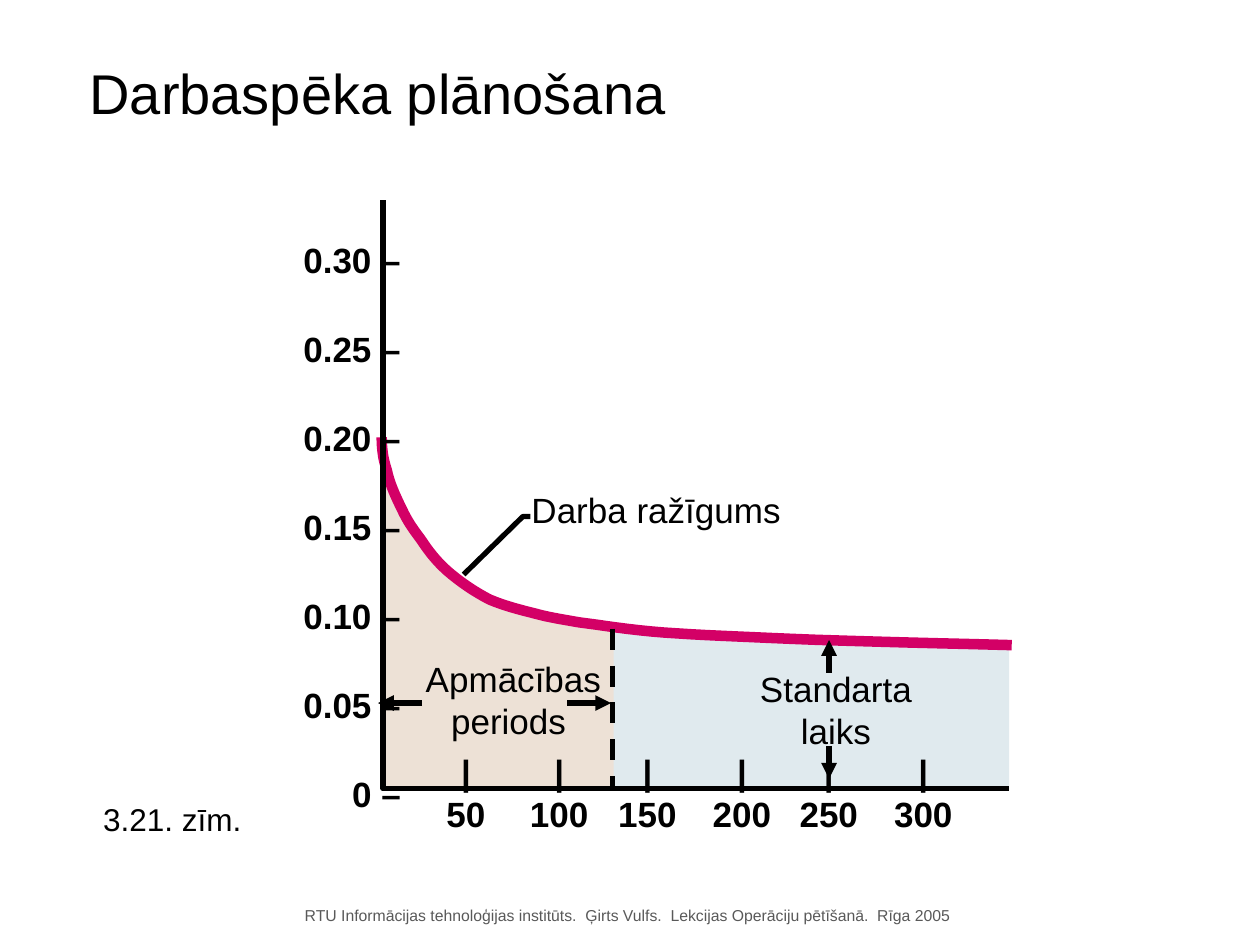
from lxml.etree import SubElement
from pptx import Presentation
from pptx.dml.color import RGBColor
from pptx.enum.dml import MSO_LINE
from pptx.enum.shapes import MSO_CONNECTOR
from pptx.enum.text import MSO_ANCHOR, MSO_AUTO_SIZE, PP_ALIGN
from pptx.oxml.ns import qn
from pptx.util import Inches, Pt

COLORS = {
    "ink": "000000",
    "footer": "595959",
    "curve": "D30066",
    "training": "EDE1D6",
    "standard": "E0EAEE",
}
FONT = "Arial"

STANDARD_AREA = [(8.01, 6.27), (4.86, 6.27), (4.86, 4.98), (5.08, 5.01), (5.39, 5.03),
                 (6, 5.07), (6.55, 5.08), (7.26, 5.1), (8.01, 5.11)]
TRAINING_AREA = [(3.04, 3.61), (3.04, 6.26), (4.87, 6.26), (4.87, 4.98), (4.55, 4.93),
                 (4.18, 4.87), (3.95, 4.79), (3.73, 4.67), (3.57, 4.56), (3.39, 4.36),
                 (3.22, 4.1), (3.13, 3.91)]
AXES = [(3.04, 1.59), (3.04, 6.26), (8.01, 6.26)]
CURVE_LEADER = [(4.21, 4.1), (4.15, 4.1), (3.68, 4.56)]

# Start point, then two control points and an end point for each segment.
CURVE = [(3.03, 3.47),
         (3.03, 3.56), (3.04, 3.64), (3.07, 3.73),
         (3.09, 3.83), (3.14, 3.94), (3.19, 4.04),
         (3.23, 4.13), (3.28, 4.2), (3.34, 4.28),
         (3.4, 4.37), (3.46, 4.45), (3.55, 4.53),
         (3.64, 4.61), (3.77, 4.7), (3.89, 4.76),
         (4.01, 4.81), (4.13, 4.84), (4.25, 4.87),
         (4.36, 4.9), (4.43, 4.91), (4.6, 4.94),
         (4.77, 4.96), (4.99, 5), (5.27, 5.02),
         (5.55, 5.04), (5.81, 5.05), (6.28, 5.07),
         (6.74, 5.09), (7.67, 5.11), (8.03, 5.12)]

ARROWS = [((6.58, 5.34), (6.58, 5.08)), ((6.58, 5.92), (6.58, 6.18)),
          ((3.35, 5.58), (3, 5.58)), ((4.5, 5.58), (4.85, 5.58))]
X_TABS = [0.5, 1.24, 1.94, 2.69, 3.38, 4.13]


def rgb(name):
    return RGBColor.from_string(COLORS[name])


def bezier_points(knots, steps=8):
    """Sample a chain of cubic segments."""
    points = [knots[0]]
    for i in range(0, len(knots) - 1, 3):
        for step in range(1, steps + 1):
            t = step / steps
            weights = ((1 - t) ** 3, 3 * t * (1 - t) ** 2, 3 * t * t * (1 - t), t ** 3)
            points.append(tuple(sum(w * knot[axis] for w, knot in zip(weights, knots[i:i + 4]))
                                for axis in (0, 1)))
    return points


def add_outline(slide, points, close):
    start, *rest = [(Inches(x), Inches(y)) for x, y in points]
    builder = slide.shapes.build_freeform(*start)
    builder.add_line_segments(rest, close=close)
    outline = builder.convert_to_shape()
    outline.shadow.inherit = False
    return outline


def add_area(slide, points, color):
    area = add_outline(slide, points, close=True)
    area.fill.solid()
    area.fill.fore_color.rgb = rgb(color)
    area.line.fill.background()


def add_path(slide, points, color="ink", width=3):
    path_line = add_outline(slide, points, close=False)
    path_line.fill.background()
    path_line.line.color.rgb = rgb(color)
    path_line.line.width = Pt(width)


def add_line(slide, start, end, arrow=False, dashed=False):
    connector = slide.shapes.add_connector(
        MSO_CONNECTOR.STRAIGHT, *[Inches(value) for value in start + end])
    connector.line.color.rgb = rgb("ink")
    connector.line.width = Pt(3)
    if dashed:
        connector.line.dash_style = MSO_LINE.DASH
    if arrow:
        SubElement(connector.line._get_or_add_ln(), qn("a:tailEnd"), type="triangle")
    SubElement(connector._element.spPr, qn("a:effectLst"))


def format_text(frame, size, color="ink", bold=False, align=PP_ALIGN.LEFT, spacing=None):
    for paragraph in frame.paragraphs:
        paragraph.alignment = align
        if spacing:
            paragraph.line_spacing = spacing
        for run in paragraph.runs:
            run.font.name = FONT
            run.font.size = Pt(size)
            run.font.bold = bold
            run.font.color.rgb = rgb(color)


def add_text(slide, text, box, size=20, wrap=False, tabs=(), **style):
    frame = slide.shapes.add_textbox(*[Inches(value) for value in box]).text_frame
    frame.text = text
    frame.word_wrap = wrap
    frame.auto_size = MSO_AUTO_SIZE.SHAPE_TO_FIT_TEXT
    if tabs:
        for paragraph in frame.paragraphs:
            stops = SubElement(paragraph._p.get_or_add_pPr(), qn("a:tabLst"))
            for tab in tabs:
                SubElement(stops, qn("a:tab"), pos=str(Inches(tab)), algn="ctr")
    format_text(frame, size, **style)


def set_title(slide, text):
    title = slide.shapes.title
    title.left, title.top, title.width, title.height = (
        Inches(value) for value in (0.61, 0, 6.97, 1.47))
    title.text_frame.text = text
    title.text_frame.vertical_anchor = MSO_ANCHOR.MIDDLE
    format_text(title.text_frame, 32)


def add_axis_labels(slide):
    y_labels = [f"{step * 0.05:.2f} –" for step in range(6, 0, -1)] + ["0 –"]
    add_text(slide, "\n".join(y_labels), (2.18, 1.47, 1.1, 5.05), wrap=True,
             bold=True, align=PP_ALIGN.RIGHT, spacing=2.12)
    x_labels = "".join(f"\t{units}" for units in range(50, 301, 50))
    add_text(slide, "\t|" * len(X_TABS) + "\n" + x_labels, (3.1, 5.91, 4.56, 0.77),
             bold=True, tabs=X_TABS)


def main():
    prs = Presentation()
    prs.slide_width, prs.slide_height = Inches(10), Inches(7.5)
    slide = prs.slides.add_slide(prs.slide_layouts[5])

    set_title(slide, "Darbaspēka plānošana")
    add_text(slide, "RTU Informācijas tehnoloģijas institūts.  Ģirts Vulfs.  "
             "Lekcijas Operāciju pētīšanā.  Rīga 2005",
             (2.32, 7.14, 5.33, 0.25), size=9, color="footer")

    add_area(slide, STANDARD_AREA, "standard")
    add_area(slide, TRAINING_AREA, "training")
    add_path(slide, bezier_points(CURVE), "curve", 6)
    add_path(slide, AXES)
    add_axis_labels(slide)

    add_text(slide, "Darba ražīgums", (4.12, 3.83, 2.26, 0.44))
    add_text(slide, "Apmācības\nperiods ", (3.17, 5.17, 1.81, 0.77),
             wrap=True, align=PP_ALIGN.CENTER)
    add_text(slide, "Standarta laiks", (5.83, 5.25, 1.61, 0.77),
             wrap=True, align=PP_ALIGN.CENTER)
    add_path(slide, CURVE_LEADER)
    add_line(slide, (4.86, 4.99), (4.86, 6.26), dashed=True)
    for start, end in ARROWS:
        add_line(slide, start, end, arrow=True)

    add_text(slide, "3.21. zīm.", (0.72, 6.3, 1.3, 0.4), size=18)
    prs.save("out.pptx")


if __name__ == "__main__":
    main()
